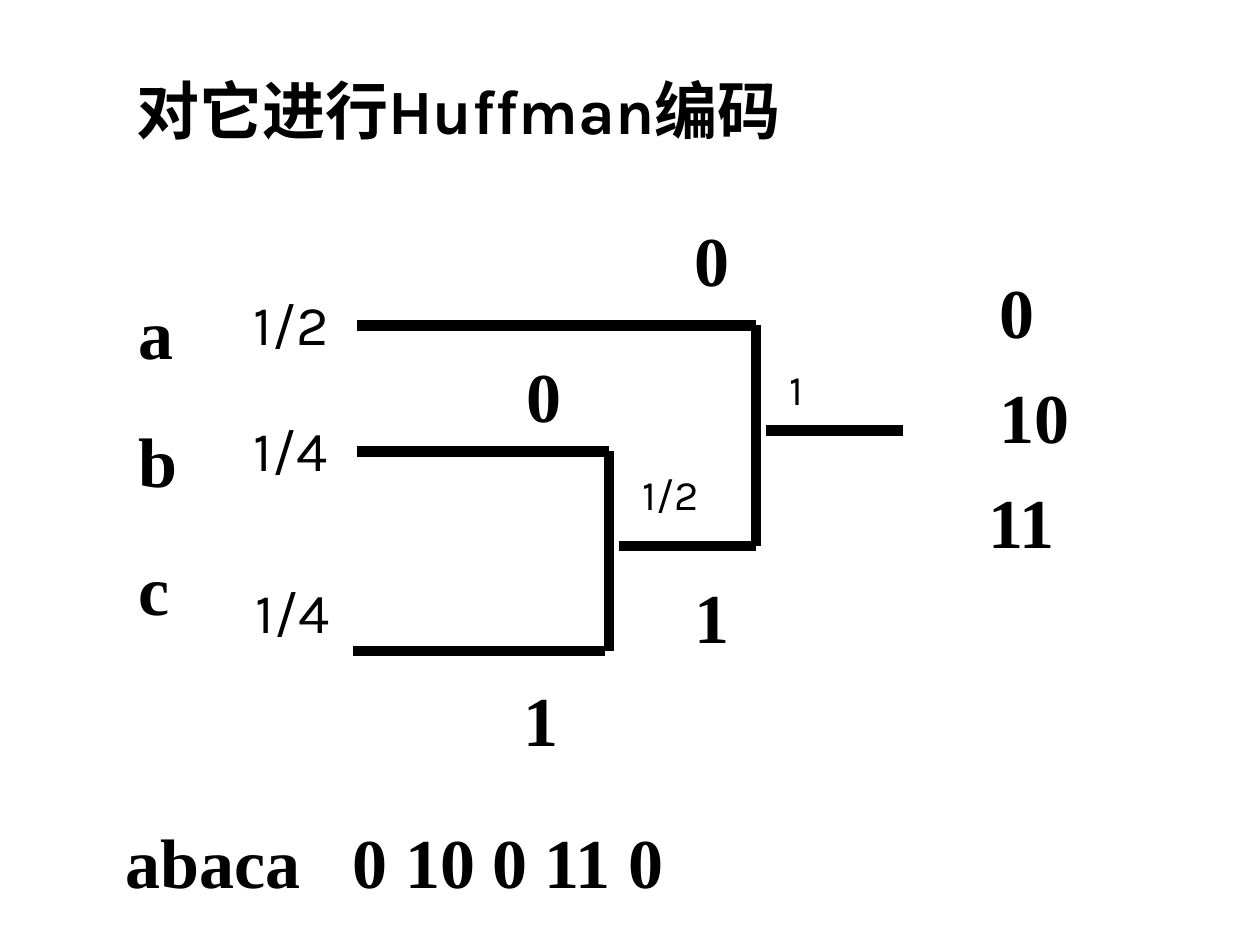
from lxml.etree import SubElement
from pptx import Presentation
from pptx.dml.color import RGBColor
from pptx.enum.shapes import MSO_CONNECTOR
from pptx.enum.text import MSO_AUTO_SIZE
from pptx.oxml.ns import qn
from pptx.util import Inches, Pt


def color(value):
    return RGBColor.from_string(value)


class HuffmanSlide:
    INK = "000000"
    SERIF = "Times New Roman"
    SANS = "Karla"
    COLUMNS, ROWS = 120, 90

    def __init__(self, deck):
        self.slide = deck.slides.add_slide(deck.slide_layouts[6])
        self.column = deck.slide_width / self.COLUMNS
        self.row = deck.slide_height / self.ROWS

    def x(self, columns):
        return round(columns * self.column)

    def y(self, rows):
        return round(rows * self.row)

    def text(self, left, top, width, height, wording, size=40, font=SERIF, bold=True, gap=0, tab=None):
        box = self.slide.shapes.add_textbox(self.x(left), self.y(top), self.x(width), self.y(height))
        frame = box.text_frame
        frame.word_wrap = True
        frame.auto_size = MSO_AUTO_SIZE.SHAPE_TO_FIT_TEXT
        frame.text = wording
        for index, paragraph in enumerate(frame.paragraphs):
            if index:
                paragraph.space_before = Pt(gap)
            if tab:
                stops = SubElement(paragraph._p.get_or_add_pPr(), qn("a:tabLst"))
                SubElement(stops, qn("a:tab"), pos=str(self.x(tab)), algn="l")
            for run in paragraph.runs:
                run.font.size = Pt(size)
                run.font.name = font
                run.font.bold = bold
                run.font.color.rgb = color(self.INK)

    def probability(self, left, top, width, height, wording, size):
        self.text(left, top, width, height, wording, size, self.SANS, False)

    def branch(self, start_x, start_y, end_x, end_y):
        line = self.slide.shapes.add_connector(
            MSO_CONNECTOR.STRAIGHT, self.x(start_x), self.y(start_y), self.x(end_x), self.y(end_y))
        line.line.color.rgb = color(self.INK)
        line.line.width = Pt(6)
        SubElement(line._element.spPr, qn("a:effectLst"))


def main():
    deck = Presentation()
    deck.slide_width, deck.slide_height = Inches(10), Inches(7.5)
    page = HuffmanSlide(deck)

    page.text(11.8, 6.2, 73, 8.4, "对它进行Huffman编码", size=36, font=page.SANS)
    page.text(12, 27, 13, 33.6, "a\nb\nc", gap=25)

    for left, top, share in [(23, 27, "1/2"), (23, 39, "1/4"), (23.2, 54.4, "1/4")]:
        page.probability(left, top, 17, 7.7, share, 32)

    leaf, inner, root = 34, 58, 72
    a_row, b_row, c_row = 31, 43, 62
    inner_row, root_row = 52, 41
    for ends in [
        (leaf, b_row, inner, b_row),
        (inner, b_row, inner, c_row),
        (inner + 1, inner_row, root, inner_row),
        (leaf, a_row, root, a_row),
        (root, a_row, root, inner_row),
        (root + 1, root_row, 86, root_row),
        (leaf - 0.4, c_row, inner - 0.4, c_row),
    ]:
        page.branch(*ends)

    page.probability(60, 44, 10, 10.8, "1/2", 24)
    page.probability(74, 34, 6, 6, "1", 24)

    for left, top, bit in [(65, 54, "1"), (65, 20, "0"), (49, 33, "0"), (48.7, 63.8, "1")]:
        page.text(left, top, 6, 9.2, bit)

    for index, (left, width, code) in enumerate([(94, 6, "0"), (94, 16, "10"), (93, 16, "11")]):
        page.text(left, 25 + 10 * index, width, 9.2, code)

    page.text(10.8, 77.4, 97.3, 9.2, "abaca\t0 10 0 11 0", tab=21.6)
    deck.save("out.pptx")


if __name__ == "__main__":
    main()
